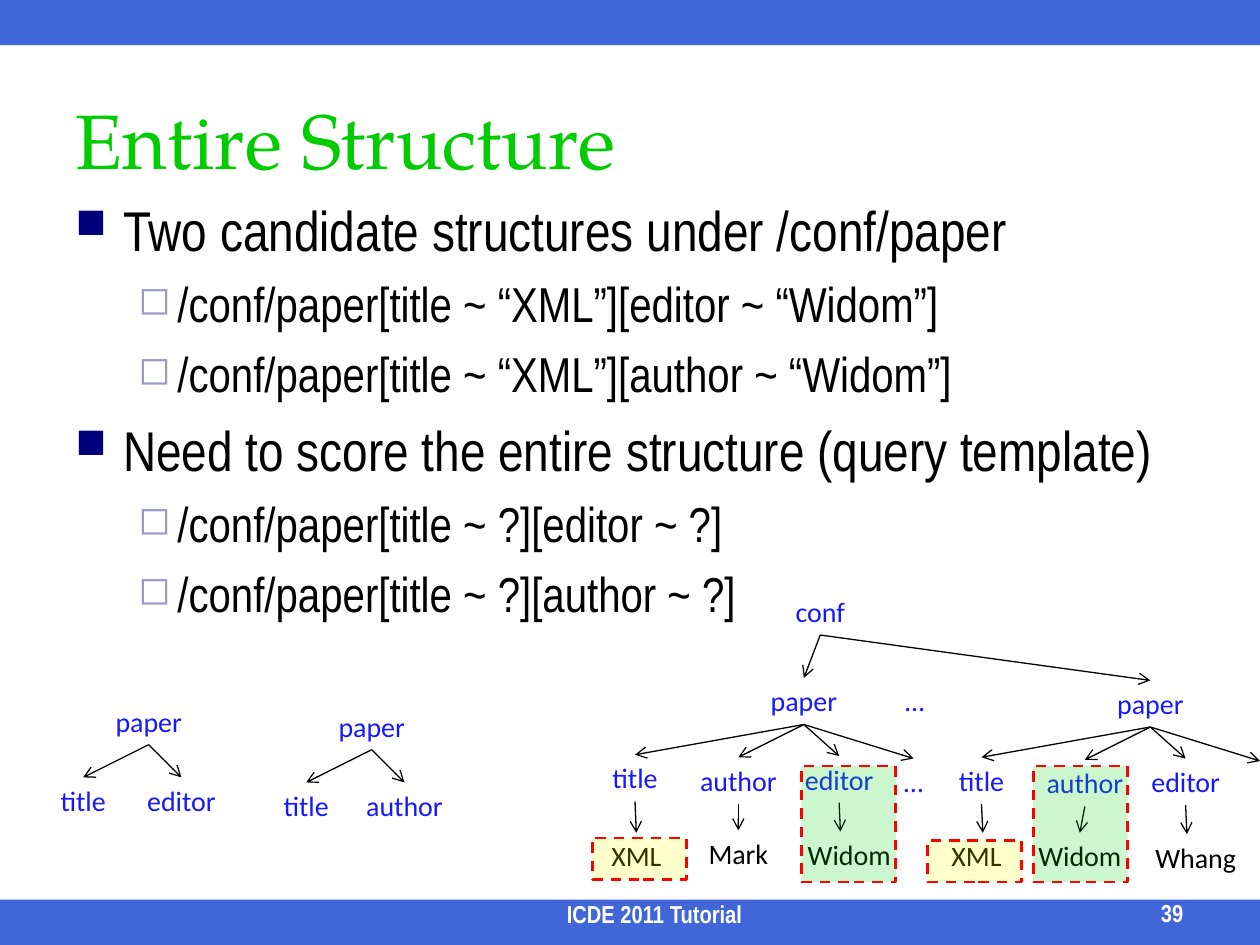
from lxml.etree import SubElement
from pptx import Presentation
from pptx.dml.color import RGBColor
from pptx.enum.dml import MSO_LINE_DASH_STYLE as Dash
from pptx.enum.shapes import MSO_CONNECTOR as Connector, MSO_SHAPE as Shape
from pptx.enum.text import MSO_ANCHOR as Anchor, PP_ALIGN as Align
from pptx.oxml.ns import qn
from pptx.util import Inches, Pt


def color(hex_string):
    return RGBColor.from_string(hex_string)


def write(paragraph, text, font="Calibri", size=16, ink="000000", bold=False,
          align=Align.LEFT, before=0):
    paragraph.alignment = align
    paragraph.space_before = Pt(before)
    run = paragraph.add_run()
    run.text = text
    run.font.name = font
    run.font.size = Pt(size)
    run.font.bold = bold
    run.font.color.rgb = color(ink)


class TreeSlide:
    HEADING_FONT, BODY_FONT = "TeX Gyre Pagella", "Arial Narrow"
    GREEN, LABEL, BLACK, WHITE = "00CC00", "1818FF", "000000", "FFFFFF"
    BAND, DASHES = "0033CC", "FF0000"
    NODE_WIDTH, NODE_HEIGHT = 0.92, 0.37
    # size, indent, hanging, space before, bullet, bullet colour, bullet size
    LEVELS = [(32, 0.38, 0.38, 7.4, "■", "00007D", 75),
              (28, 0.81, 0.31, 6.4, "◻", "9999CC", 80)]

    def __init__(self, deck):
        self.slide = deck.slides.add_slide(deck.slide_layouts[5])
        self.shapes = self.slide.shapes

    def title(self, text, left, top, width, height):
        heading = self.shapes.title
        heading.left, heading.top = Inches(left), Inches(top)
        heading.width, heading.height = Inches(width), Inches(height)
        heading.text_frame.vertical_anchor = Anchor.MIDDLE
        write(heading.text_frame.paragraphs[0], text, font=self.HEADING_FONT,
              size=44, ink=self.GREEN)

    def text_box(self, left, top, width, height, anchor=Anchor.TOP):
        box = self.shapes.add_textbox(Inches(left), Inches(top),
                                      Inches(width), Inches(height))
        box.text_frame.word_wrap = True
        box.text_frame.vertical_anchor = anchor
        return box

    def bullets(self, items, left, top, width, height):
        frame = self.text_box(left, top, width, height).text_frame
        for index, (level, text) in enumerate(items):
            size, indent, hanging, before, mark, ink, percent = self.LEVELS[level]
            paragraph = frame.add_paragraph() if index else frame.paragraphs[0]
            paragraph.level = level
            write(paragraph, text, font=self.BODY_FONT, size=size,
                  before=before if index else 0)
            props = paragraph._p.get_or_add_pPr()
            props.set("marL", str(Inches(indent)))
            props.set("indent", str(-Inches(hanging)))
            SubElement(SubElement(props, qn("a:buClr")), qn("a:srgbClr"), val=ink)
            SubElement(props, qn("a:buSzPct"), val=str(percent * 1000))
            SubElement(props, qn("a:buChar"), char=mark)

    def footer(self, text, left, top, width, align):
        frame = self.text_box(left, top, width, 0.24, Anchor.BOTTOM).text_frame
        write(frame.paragraphs[0], text, font=self.BODY_FONT, size=14,
              ink=self.WHITE, bold=True, align=align)

    def rectangle(self, left, top, width, height, fill, opacity, dashed=False):
        box = self.shapes.add_shape(Shape.RECTANGLE, Inches(left), Inches(top),
                                    Inches(width), Inches(height))
        box.shadow.inherit = False
        box.fill.solid()
        box.fill.fore_color.rgb = color(fill)
        tint = box._element.spPr.find(qn("a:solidFill"))[0]
        SubElement(tint, qn("a:alpha"), val=str(opacity * 1000))
        if dashed:
            box.line.color.rgb = color(self.DASHES)
            box.line.width = Pt(1.5)
            box.line.dash_style = Dash.DASH
        else:
            box.line.fill.background()

    def node(self, text, center, top, ink=LABEL):
        box = self.text_box(center - self.NODE_WIDTH / 2, top,
                            self.NODE_WIDTH, self.NODE_HEIGHT)
        write(box.text_frame.paragraphs[0], text, ink=ink, align=Align.CENTER)
        return box

    def arrow(self, parent, child=None, tip=(0, 0)):
        """Join the parent's bottom to the child's top, or to a free tip."""
        line = self.shapes.add_connector(Connector.STRAIGHT, 0, 0,
                                         Inches(tip[0]), Inches(tip[1]))
        line.begin_connect(parent, 2)
        if child is not None:
            line.end_connect(child, 0)
        line.line.color.rgb = color(self.BLACK)
        line.line.width = Pt(0.75)
        SubElement(line.line._get_or_add_ln(), qn("a:tailEnd"), type="arrow")
        SubElement(line._element.spPr, qn("a:effectLst"))

    def template_tree(self, center, top, second):
        paper = self.node("paper", center, top)
        for text, shift in (("title", -0.52), (second, 0.26)):
            self.arrow(paper, self.node(text, center + shift, top + 0.63))

    def paper_tree(self, center, top, values):
        """Each value is its text, shift, drop and the shift of its arrow tip."""
        paper = self.node("paper", center, top)
        fields = (("title", -1.34, 0.61), ("author", -0.52, 0.63),
                  ("editor", 0.28, 0.62))
        for (name, shift, drop), value in zip(fields, values):
            field = self.node(name, center + shift, top + drop)
            self.arrow(paper, field)
            text, value_shift, value_drop, tip_shift = value
            self.node(text, center + value_shift, top + value_drop, self.BLACK)
            self.arrow(field, tip=(center + tip_shift, top + value_drop))
        return paper


def main():
    deck = Presentation()
    deck.slide_width, deck.slide_height = Inches(10), Inches(7.5)
    page = TreeSlide(deck)

    # Bands, title and body
    for top in (7.14, 0):
        page.rectangle(0, top, 10, 0.36, page.BAND, 75)
    page.title("Entire Structure", 0.5, 0.5, 9, 1.2)
    page.bullets([
        (0, "Two candidate structures under /conf/paper"),
        (1, "/conf/paper[title ~ “XML”][editor ~ “Widom”]"),
        (1, "/conf/paper[title ~ “XML”][author ~ “Widom”]"),
        (0, "Need to score the entire structure (query template)"),
        (1, "/conf/paper[title ~ ?][editor ~ ?]"),
        (1, "/conf/paper[title ~ ?][author ~ ?]"),
    ], 0.5, 1.5, 9, 3.5)
    page.footer("ICDE 2011 Tutorial", 2.32, 7.18, 5.75, Align.CENTER)
    page.footer("39", 8.23, 7.17, 1.26, Align.RIGHT)

    # Conference tree with its two papers
    conf = page.node("conf", 6.51, 4.67)
    first_paper = page.paper_tree(6.38, 5.38, [
        ("XML", -1.33, 1.23, -1.33), ("Mark", -0.52, 1.21, -0.52),
        ("Widom", 0.36, 1.22, 0.29)])
    second_paper = page.paper_tree(9.13, 5.4, [
        ("XML", -1.38, 1.21, -1.33), ("Widom", -0.56, 1.21, -0.56),
        ("Whang", 0.36, 1.22, 0.29)])
    for paper in (first_paper, second_paper):
        page.arrow(conf, paper)
    page.node("…", 7.26, 5.38)
    page.arrow(first_paper, page.node("…", 7.25, 6.02))
    page.arrow(second_paper, tip=(10, 6.04))

    # Highlighted matches
    for left, top in ((4.7, 6.65), (7.36, 6.67)):
        page.rectangle(left, top, 0.75, 0.33, "FFFF00", 20, dashed=True)
    for left in (6.36, 8.2):
        page.rectangle(left, 6.08, 0.75, 0.92, "04DA0E", 20, dashed=True)

    # Query templates
    page.template_tree(1.18, 5.54, "editor")
    page.template_tree(2.95, 5.58, "author")

    deck.save("out.pptx")


if __name__ == "__main__":
    main()
